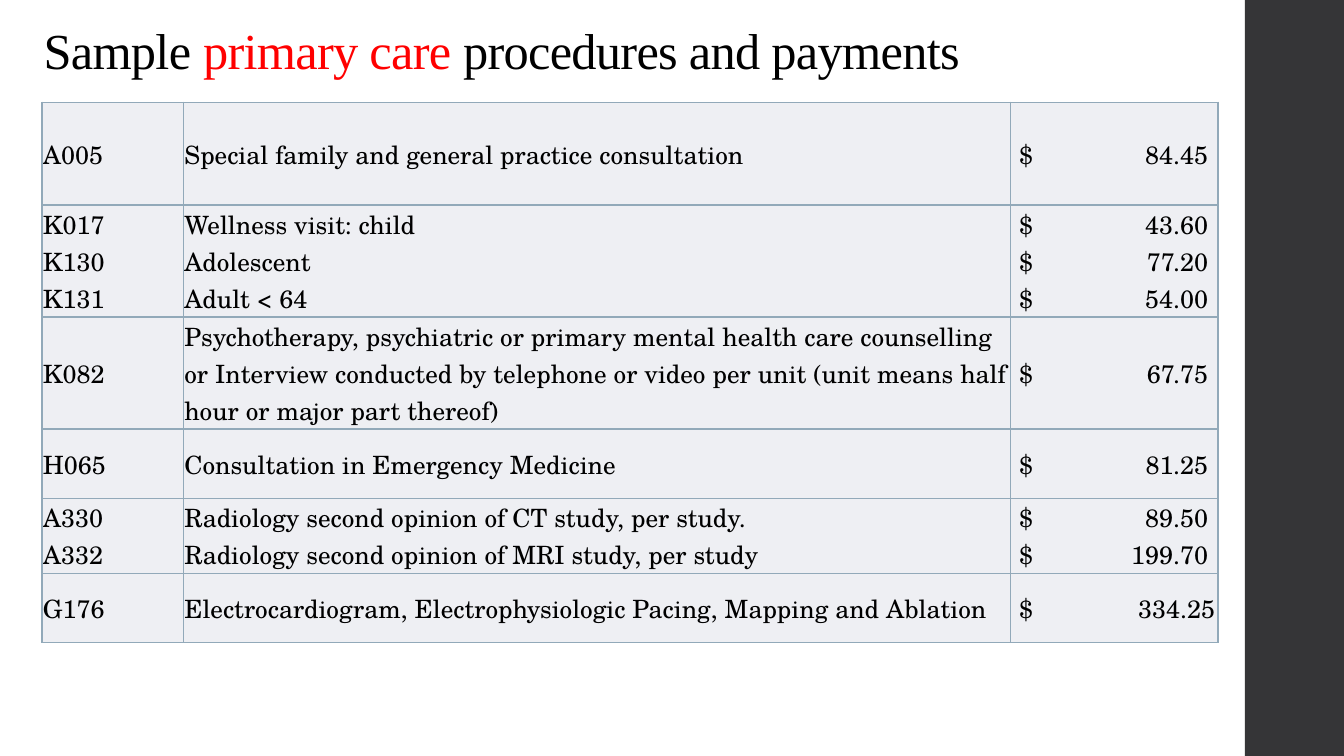
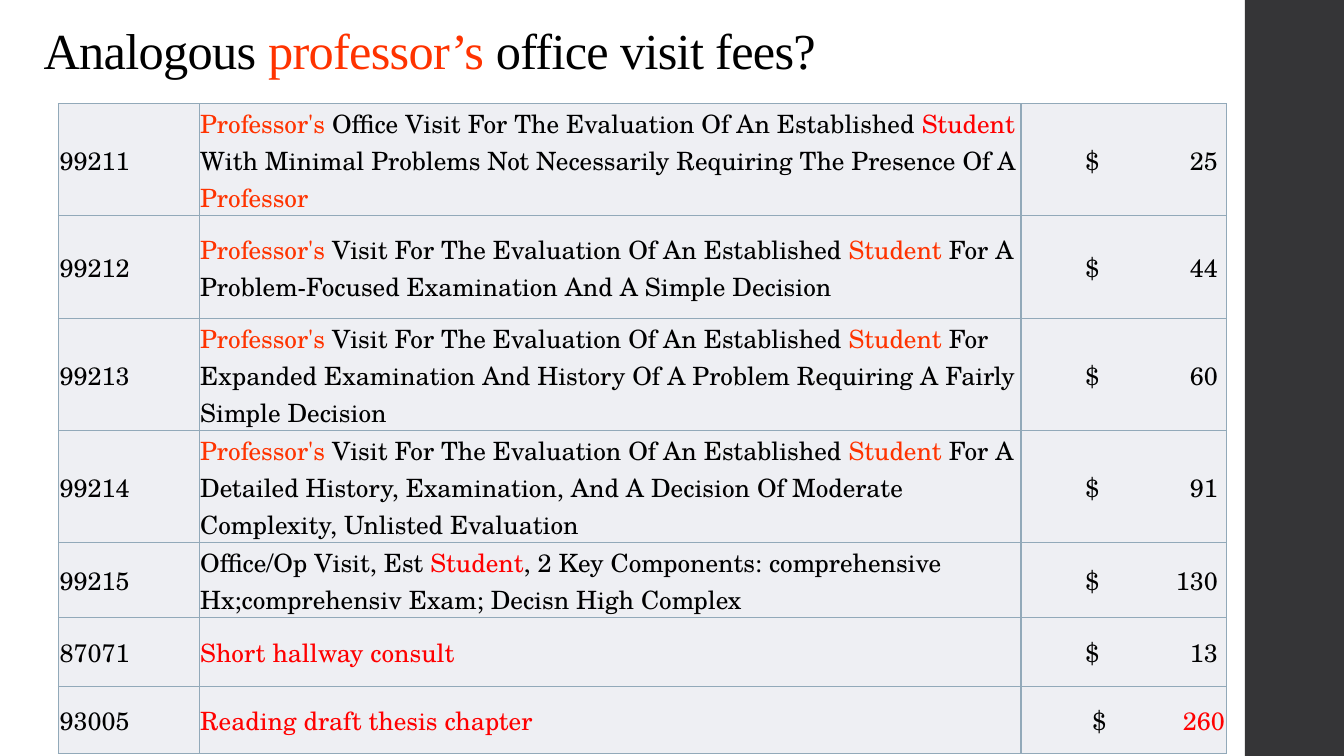
"""Build two slides of fee tables with a shared title style and side band."""
from dataclasses import dataclass

from lxml.etree import SubElement
from pptx import Presentation
from pptx.dml.color import RGBColor
from pptx.enum.shapes import MSO_SHAPE
from pptx.enum.text import MSO_ANCHOR
from pptx.oxml.ns import qn
from pptx.util import Pt


@dataclass(frozen=True)
class Theme:
    ink: str = "000000"
    red: str = "FF0000"
    orange: str = "FF3300"
    band: str = "353537"
    cell: str = "EEEFF3"
    border: str = "92A9B9"
    title_font: str = "Times New Roman"
    body_font: str = "TeX Gyre Schola"
    title_size: float = 36
    body_size: float = 18


T = Theme()
ONE_LINE, TWO_LINES, TALL, THREE_LINES = 49.5, 53.5, 73.5, 80


def add_text(tf, content, font=T.body_font, size=T.body_size, spacing=None,
             line_spacing=None, tab=None):
    paragraphs = content.split("\n") if isinstance(content, str) else [content]
    for i, runs in enumerate(paragraphs):
        p = tf.add_paragraph() if i else tf.paragraphs[0]
        if line_spacing:
            p.line_spacing = line_spacing
        if tab:
            tabs = SubElement(p._p.get_or_add_pPr(), qn("a:tabLst"))
            SubElement(tabs, qn("a:tab"), pos=str(Pt(tab)), algn="r")
        for run in [runs] if isinstance(runs, str) else runs:
            text, color = (run, T.ink) if isinstance(run, str) else run
            r = p.add_run()
            r.text = text
            r.font.name = font
            r.font.size = Pt(size)
            r.font.color.rgb = RGBColor.from_string(color)
            if spacing:
                r._r.get_or_add_rPr().set("spc", str(int(spacing * 100)))


class Deck:
    def __init__(self):
        self.prs = Presentation()
        self.prs.slide_width, self.prs.slide_height = Pt(960), Pt(540)

    def new_slide(self, title):
        self.s = self.prs.slides.add_slide(self.prs.slide_layouts[6])
        self.band()
        self.title(title)

    def band(self):
        sp = self.s.shapes.add_shape(MSO_SHAPE.RECTANGLE, Pt(889.2), 0, Pt(70.8), Pt(540))
        sp.shadow.inherit = False
        sp.fill.solid()
        sp.fill.fore_color.rgb = RGBColor.from_string(T.band)
        sp.line.fill.background()

    def title(self, runs):
        tf = self.s.shapes.add_textbox(Pt(24), Pt(12), Pt(763), Pt(49)).text_frame
        tf.word_wrap = True
        tf.vertical_anchor = MSO_ANCHOR.BOTTOM
        add_text(tf, runs, font=T.title_font, size=T.title_size, spacing=-0.5,
                 line_spacing=0.9)

    def table(self, left, top, widths, rows, price, last_price):
        heights = [row[0] for row in rows]
        table = self.s.shapes.add_table(len(rows), len(widths), Pt(left), Pt(top),
                                        Pt(sum(widths)), Pt(sum(heights))).table
        table.first_row = table.horz_banding = False
        for column, width in zip(table.columns, widths):
            column.width = Pt(width)
        for i, (height, code, description, amount) in enumerate(rows):
            table.rows[i].height = Pt(height)
            indent, tab = last_price if i == len(rows) - 1 else price
            self.cell(table.cell(i, 0), code)
            self.cell(table.cell(i, 1), description)
            self.cell(table.cell(i, 2), amount, indent=indent, tab=tab)

    def cell(self, cell, content, indent=0.72, tab=None):
        cell.margin_left = Pt(indent)
        cell.margin_right = cell.margin_top = Pt(0.72)
        cell.margin_bottom = 0
        cell.vertical_anchor = MSO_ANCHOR.MIDDLE
        for side in ("a:lnL", "a:lnR", "a:lnT", "a:lnB"):
            ln = SubElement(cell._tc.get_or_add_tcPr(), qn(side), w=str(Pt(1)))
            SubElement(SubElement(ln, qn("a:solidFill")), qn("a:srgbClr"), val=T.border)
        cell.fill.solid()
        cell.fill.fore_color.rgb = RGBColor.from_string(T.cell)
        add_text(cell.text_frame, content, tab=tab)


def student_visit(ending, start="Visit", color=T.orange):
    return [("Professor's ", T.orange), f"{start} For The Evaluation Of An Established ",
            ("Student", color), ending]


CARE_ROWS = [
    (TALL, "A005", "Special family and general practice consultation", "$\t84.45"),
    (THREE_LINES, "K017\nK130\nK131", "Wellness visit: child\nAdolescent\nAdult < 64",
     "$\t43.60\n$\t77.20\n$\t54.00"),
    (THREE_LINES, "K082", "Psychotherapy, psychiatric or primary mental health care "
     "counselling or Interview conducted by telephone or video per unit (unit means half "
     "hour or major part thereof)", "$\t67.75"),
    (ONE_LINE, "H065", "Consultation in Emergency Medicine", "$\t81.25"),
    (TWO_LINES, "A330\nA332", "Radiology second opinion of CT study, per study.\n"
     "Radiology second opinion of MRI study, per study", "$\t89.50\n$\t199.70"),
    (ONE_LINE, "G176", "Electrocardiogram, Electrophysiologic Pacing, Mapping and Ablation",
     "$\t334.25"),
]

PROFESSOR_ROWS = [
    (THREE_LINES, "99211", student_visit(" With Minimal Problems Not Necessarily Requiring "
                                         "The Presence Of A ", "Office Visit", T.red)
     + [("Professor", T.orange)], "$\t25"),
    (TALL, "99212", student_visit(" For A Problem-Focused Examination And "
                                  "A Simple Decision"), "$\t44"),
    (THREE_LINES, "99213", student_visit(" For Expanded Examination And History Of A Problem "
                                         "Requiring A Fairly Simple Decision"), "$\t60"),
    (THREE_LINES, "99214", student_visit(" For A Detailed History, Examination, And A "
                                         "Decision Of Moderate Complexity, Unlisted "
                                         "Evaluation"), "$\t91"),
    (TWO_LINES, "99215", ["Office/Op Visit, Est ", ("Student", T.red),
                          ", 2 Key Components: comprehensive Hx;comprehensiv Exam; "
                          "Decisn High Complex"], "$\t130"),
    (ONE_LINE, "87071", [("Short hallway consult", T.red)], "$\t13"),
    (48, "93005", [("Reading draft thesis chapter", T.red)], ["$\t", ("260", T.red)]),
]


def main():
    deck = Deck()
    deck.new_slide(["Sample ", ("primary care ", T.red), "procedures and payments"])
    deck.table(30, 73, (101, 591, 148), CARE_ROWS, price=(6, 135), last_price=(6, 140))
    deck.new_slide(["Analogous ", ("professor’s", T.orange), " office visit fees?"])
    deck.table(41.8, 74, (100.5, 587, 146.7), PROFESSOR_ROWS,
               price=(46, 94.7), last_price=(51, 94.7))
    deck.prs.save("out.pptx")


if __name__ == "__main__":
    main()
